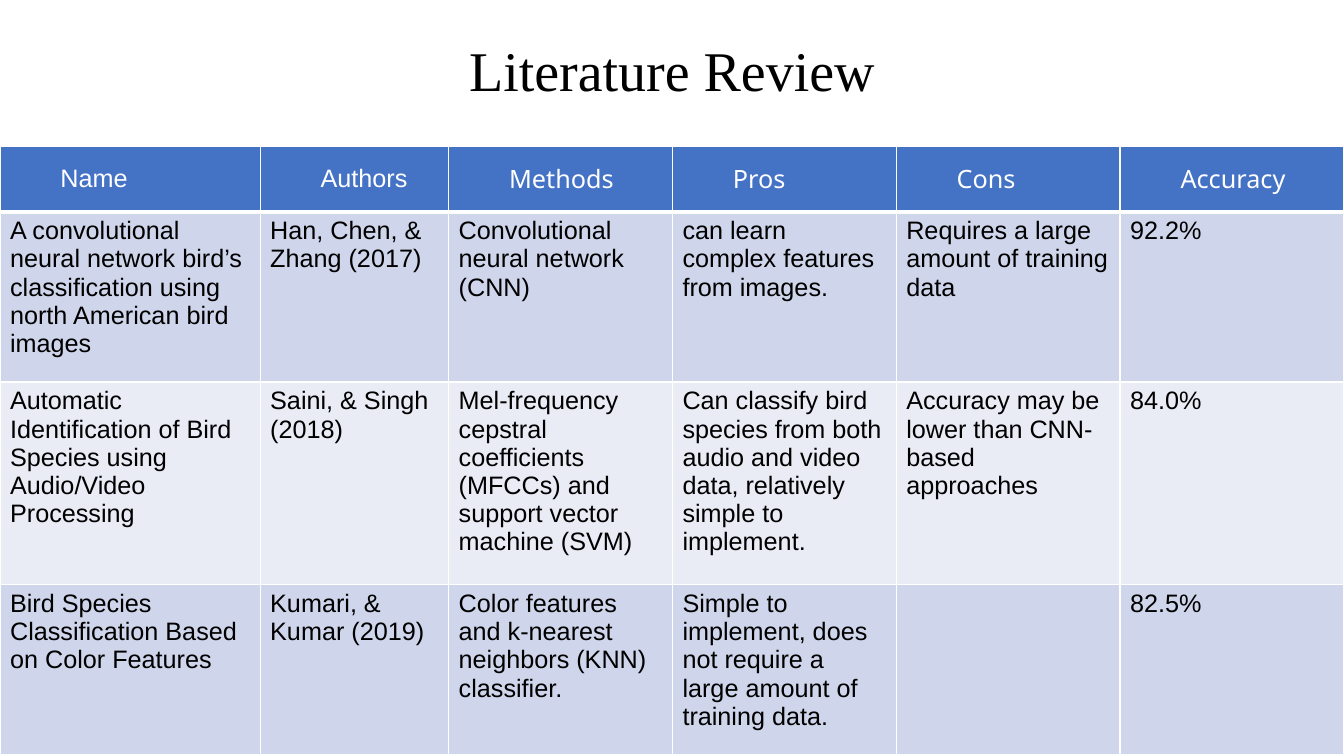
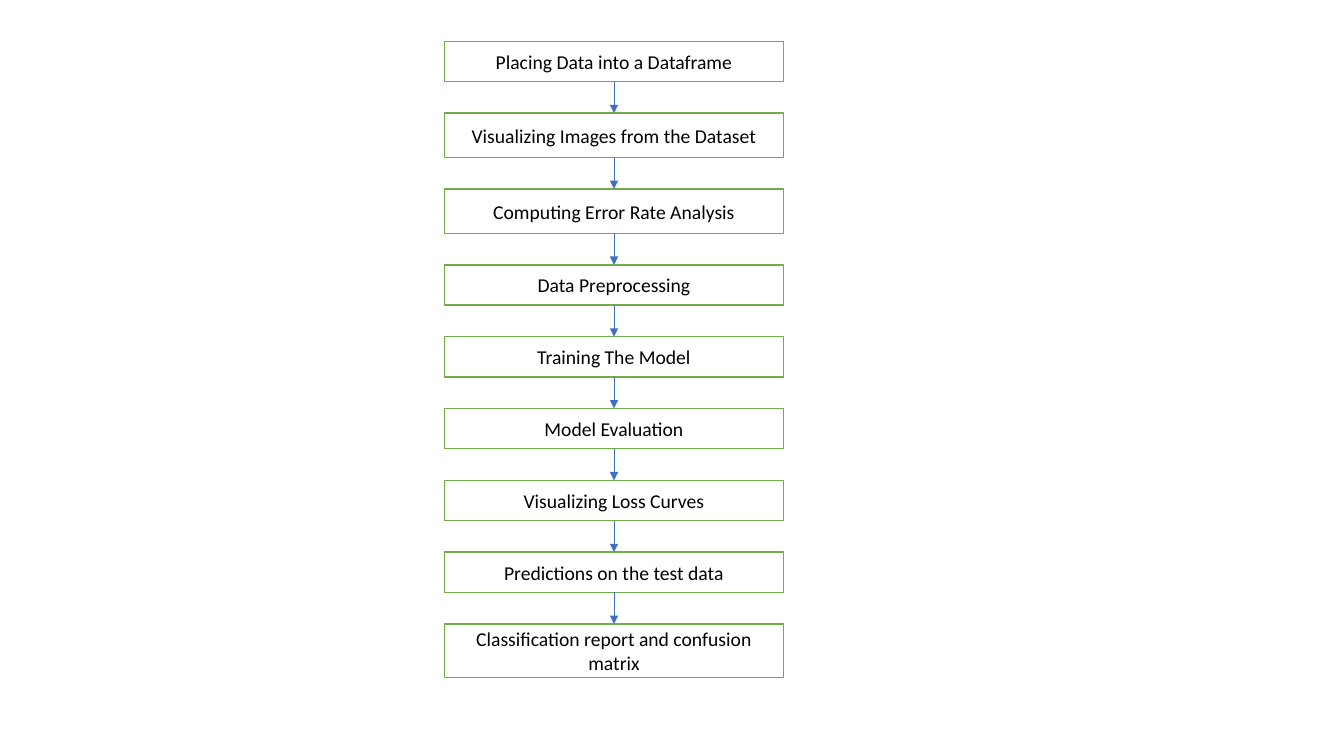
from lxml.etree import SubElement
from pptx import Presentation
from pptx.dml.color import RGBColor
from pptx.enum.shapes import MSO_CONNECTOR as Connector, MSO_SHAPE as Shape
from pptx.enum.text import MSO_ANCHOR as Anchor, PP_ALIGN as Align
from pptx.oxml.ns import qn
from pptx.util import Inches, Pt

COLORS = {
    "text": "000000", "white": "FFFFFF", "header": "4472C4",
    "odd_row": "CFD5EA", "even_row": "E9EBF5",
    "step_line": "70AD47", "arrow": "3F6FC3",
}
FORMATS = {
    "title": {"name": "Times New Roman", "size": Pt(40), "bold": False},
    "table": {"name": "Arial", "size": Pt(18), "bold": False},
    "table_alt": {"name": "Noto Sans", "size": Pt(18), "bold": False},
    "step": {"name": "Calibri", "size": Pt(14), "bold": False},
}
SLIDE_WIDTH, SLIDE_HEIGHT = 13.33, 7.5
TITLE_HEIGHT = 1.45

COLUMN_WIDTHS = [2.58, 1.87] + [2.22] * 4
ROW_HEIGHTS = [0.65, 1.69, 2.01, 1.69]
REVIEW = [
    ["Name", "Authors", "Methods", "Pros", "Cons", "Accuracy"],
    ["A convolutional neural network bird’s classification using north American bird images",
     "Han, Chen, & Zhang (2017)",
     "Convolutional neural network (CNN)",
     "can learn complex features from images.",
     "Requires a large amount of training data",
     "92.2%"],
    ["Automatic Identification of Bird Species using Audio/Video Processing",
     "Saini, & Singh\n(2018)",
     "Mel-frequency cepstral coefficients (MFCCs) and support vector machine (SVM)",
     "Can classify bird species from both audio and video data, relatively simple to implement.",
     "Accuracy may be lower than CNN-based approaches",
     "84.0%"],
    ["Bird Species Classification Based on Color Features",
     "Kumari, & Kumar (2019)",
     "Color features and k-nearest neighbors (KNN) classifier.",
     "Simple to implement, does not require a large amount of training data.",
     "",
     "82.5%"],
]

# Step label and box height
STEPS = [
    ("Placing Data into a Dataframe", 0.4),
    ("Visualizing Images from the Dataset", 0.44),
    ("Computing Error Rate Analysis", 0.44),
    ("Data Preprocessing", 0.4),
    ("Training The Model", 0.4),
    ("Model Evaluation", 0.4),
    ("Visualizing Loss Curves", 0.4),
    ("Predictions on the test data", 0.4),
    ("Classification report and confusion matrix", 0.53),
]


def color(name):
    return RGBColor.from_string(COLORS[name])


def paint(part, name):
    part.fill.solid()
    part.fill.fore_color.rgb = color(name)


def format_text(frame, style, color_name="text", **paragraph_values):
    for para in frame.paragraphs:
        for key, value in paragraph_values.items():
            setattr(para, key, value)
        for span in para.runs:
            for key, value in FORMATS[style].items():
                setattr(span.font, key, value)
            span.font.color.rgb = color(color_name)


def set_borders(cell, widths):
    """Draw white cell edges; widths gives points for each side."""
    properties = cell._tc.get_or_add_tcPr()
    for index, (side, width) in enumerate(widths.items()):
        edge = properties.makeelement(qn(f"a:ln{side}"), {"w": str(Pt(width))})
        fill = SubElement(edge, qn("a:solidFill"))
        SubElement(fill, qn("a:srgbClr"), val=COLORS["white"])
        properties.insert(index, edge)


def add_title(page, text, left, top, width, height):
    title = page.shapes.title
    title.left, title.top = Inches(left), Inches(top)
    title.width, title.height = Inches(width), Inches(height)
    frame = title.text_frame
    frame.text = text
    frame.vertical_anchor = Anchor.MIDDLE
    format_text(frame, "title", alignment=Align.CENTER, line_spacing=0.9)


def add_review_table(page, left, top, width, height):
    table = page.shapes.add_table(
        len(REVIEW), len(COLUMN_WIDTHS),
        Inches(left), Inches(top), Inches(width), Inches(height)).table
    for column, column_width in zip(table.columns, COLUMN_WIDTHS):
        column.width = Inches(column_width)
    for row, row_height in zip(table.rows, ROW_HEIGHTS):
        row.height = Inches(row_height)

    for row_index, texts in enumerate(REVIEW):
        is_header = row_index == 0
        band = "header" if is_header else "odd_row" if row_index % 2 else "even_row"
        for column_index, text in enumerate(texts):
            cell = table.cell(row_index, column_index)
            cell.text = text
            paint(cell, band)
            top_width = 3 if row_index == 1 else 1
            set_borders(cell, {"L": 1, "R": 1, "T": top_width, "B": 3 if is_header else 1})
            if is_header:
                cell.vertical_anchor = Anchor.MIDDLE
                style = "table" if column_index < 2 else "table_alt"
                format_text(cell.text_frame, style, "white", level=1)
                indent = cell.text_frame.paragraphs[0]._p.get_or_add_pPr()
                indent.set("marL", str(Inches(0.5)))
            else:
                format_text(cell.text_frame, "table")


def add_step(page, text, left, top, width, height):
    box = page.shapes.add_shape(
        Shape.FLOWCHART_PROCESS,
        Inches(left), Inches(top), Inches(width), Inches(height))
    box.shadow.inherit = False
    paint(box, "white")
    box.line.color.rgb = color("step_line")
    box.line.width = Pt(1)
    frame = box.text_frame
    frame.text = text
    frame.word_wrap = True
    frame.vertical_anchor = Anchor.MIDDLE
    format_text(frame, "step", alignment=Align.CENTER)
    return box


def add_arrow(page, upper, lower):
    arrow = page.shapes.add_connector(Connector.STRAIGHT, 0, 0, 0, 0)
    arrow.begin_connect(upper, 2)
    arrow.end_connect(lower, 0)
    arrow.line.color.rgb = color("arrow")
    arrow.line.width = Pt(0.5)
    SubElement(arrow.line._get_or_add_ln(), qn("a:tailEnd"), type="triangle")
    SubElement(arrow._element.spPr, qn("a:effectLst"))


def add_flow(page, left, top, width, height):
    """Stack the steps with equal gaps and join them with arrows."""
    gap = (height - sum(size for _, size in STEPS)) / (len(STEPS) - 1)
    boxes = []
    for text, size in STEPS:
        boxes.append(add_step(page, text, left, top, width, size))
        top += size + gap
    for upper, lower in zip(boxes, boxes[1:]):
        add_arrow(page, upper, lower)


deck = Presentation()
deck.slide_width, deck.slide_height = Inches(SLIDE_WIDTH), Inches(SLIDE_HEIGHT)
title_only, blank = deck.slide_layouts[5], deck.slide_layouts[6]

# Literature review
review_page = deck.slides.add_slide(title_only)
add_title(review_page, "Literature Review", 0, 0, SLIDE_WIDTH, TITLE_HEIGHT)
add_review_table(review_page, 0, TITLE_HEIGHT, SLIDE_WIDTH, SLIDE_HEIGHT - TITLE_HEIGHT)

# Workflow
flow_page = deck.slides.add_slide(blank)
add_flow(flow_page, 4.41, 0.41, 3.36, 6.31)

deck.save("out.pptx")
